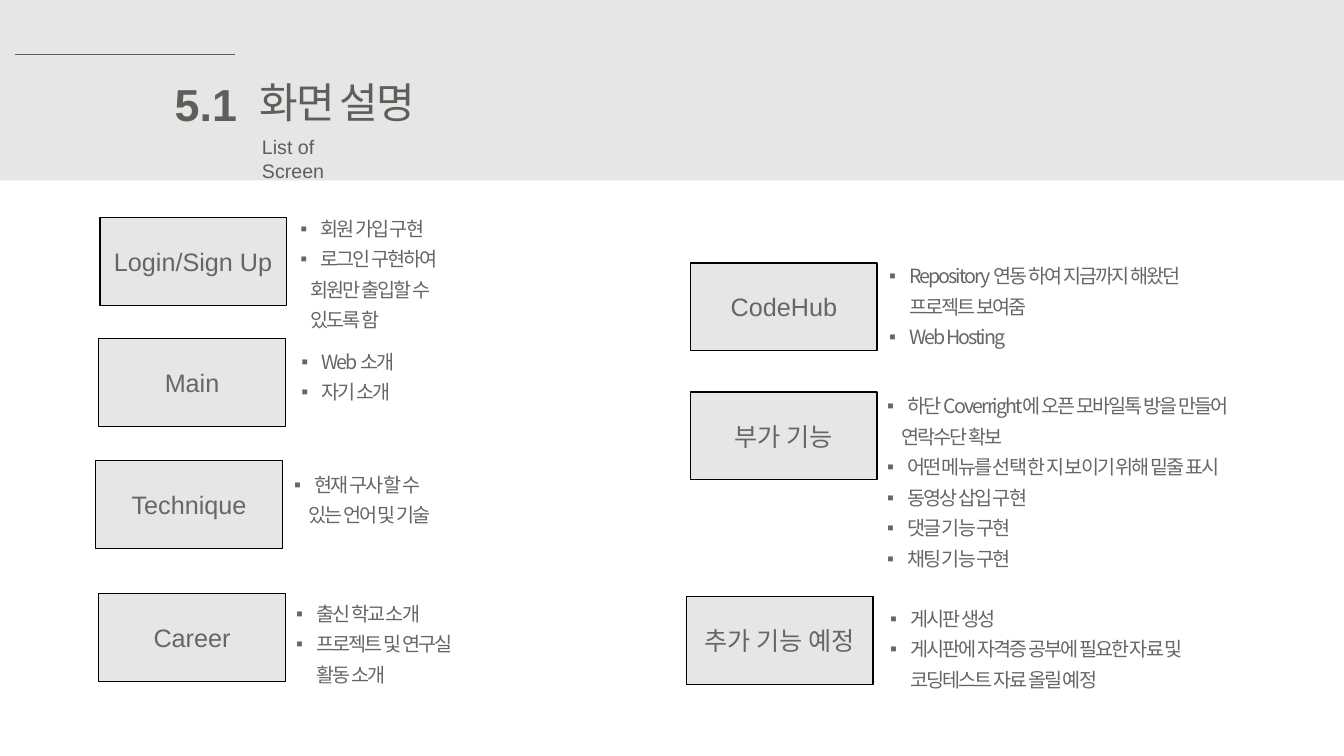
"""Build the screen description slide: a title band and seven labelled feature cards."""
from dataclasses import dataclass

import lxml.etree
import pptx
import pptx.dml.color
import pptx.enum.shapes
import pptx.enum.text
import pptx.oxml.ns
import pptx.util

PX = 9144
CARD_WIDTH, CARD_HEIGHT = 185, 87
BULLET_INDENT = 20


@dataclass(frozen=True)
class Theme:
    latin: str = "Arial"
    korean: str = "Noto Sans CJK KR"
    band: str = "E7E6E6"
    card: str = "E6E6E6"
    border: str = "000000"
    heading: str = "5F5E58"
    body: str = "666666"
    number_size: int = 32
    title_size: int = 30
    label_size: int = 18
    text_size: int = 14
    title_spacing: int = -160
    text_spacing: int = -140


@dataclass(frozen=True)
class Style:
    size: int
    font: str
    color: str
    bold: bool = False
    spacing: int = 0


@dataclass(frozen=True)
class Box:
    left: int
    top: int
    width: int
    height: int

    def emu(self) -> tuple[int, ...]:
        return tuple(n * PX for n in (self.left, self.top, self.width, self.height))


@dataclass(frozen=True)
class Line:
    text: str
    indent: int = 0


@dataclass(frozen=True)
class Heading:
    text: str
    box: Box
    style: Style
    align: pptx.enum.text.PP_ALIGN = pptx.enum.text.PP_ALIGN.LEFT
    wrap: bool = False


@dataclass(frozen=True)
class Card:
    label: str
    left: int
    top: int
    detail_box: Box
    details: tuple[Line, ...]


THEME = Theme()
LABEL = Style(THEME.label_size, THEME.latin, THEME.body)
DETAIL = Style(THEME.text_size, THEME.korean, THEME.body, spacing=THEME.text_spacing)

HEADINGS = (
    Heading("5.1", Box(162, 71, 83, 63),
            Style(THEME.number_size, THEME.latin, THEME.heading, bold=True),
            align=pptx.enum.text.PP_ALIGN.RIGHT),
    Heading("화면 설명", Box(248, 71, 185, 59),
            Style(THEME.title_size, THEME.korean, THEME.heading, spacing=THEME.title_spacing)),
    Heading("List of Screen", Box(250, 129, 132, 32),
            Style(THEME.text_size, THEME.latin, THEME.heading), wrap=True),
)

CARDS = (
    Card("Login/Sign Up", 99, 216, Box(288, 203, 194, 131), (
        Line("회원 가입 구현"), Line("로그인 구현하여"),
        Line("회원만 출입할 수", 10), Line("있도록 함", 10))),
    Card("Main", 98, 336, Box(289, 335, 194, 100), (
        Line("Web 소개"), Line("자기 소개"))),
    Card("Technique", 95, 457, Box(282, 457, 194, 100), (
        Line("현재 구사 할 수"), Line("있는 언어 및 기술", 14))),
    Card("Career", 98, 589, Box(284, 585, 194, 131), (
        Line("출신 학교 소개"), Line("프로젝트 및 연구실 활동 소개"))),
    Card("CodeHub", 685, 261, Box(872, 250, 343, 101), (
        Line("Repository 연동 하여 지금까지 해왔던 프로젝트 보여줌"), Line("Web Hosting"))),
    Card("부가 기능", 685, 389, Box(870, 379, 390, 192), (
        Line("하단 Coverright에 오픈 모바일톡 방을 만들어"), Line("연락수단 확보", 14),
        Line("어떤 메뉴를 선택 한 지 보이기 위해 밑줄 표시"),
        Line("동영상 삽입 구현"), Line("댓글 기능 구현"), Line("채팅 기능 구현"))),
    Card("추가 기능 예정", 681, 592, Box(873, 590, 390, 100), (
        Line("게시판 생성"), Line("게시판에 자격증 공부에 필요한 자료 및 코딩테스트 자료 올릴 예정"))),
)


def rgb(color: str) -> pptx.dml.color.RGBColor:
    return pptx.dml.color.RGBColor.from_string(color)


def add_child(parent, tag: str, **attributes: str) -> None:
    lxml.etree.SubElement(parent, pptx.oxml.ns.qn(tag), attributes)


def add_run(paragraph, text: str, style: Style) -> None:
    run = paragraph.add_run()
    run.text = text
    run.font.size = pptx.util.Pt(style.size)
    run.font.name = style.font
    run.font.bold = style.bold
    run.font.color.rgb = rgb(style.color)
    properties = run._r.get_or_add_rPr()
    if style.spacing:
        properties.set("spc", str(style.spacing))
    add_child(properties, "a:ea", typeface=THEME.korean)


def add_rectangle(slide, box: Box, fill: str, border: str = ""):
    shape = slide.shapes.add_shape(pptx.enum.shapes.MSO_SHAPE.RECTANGLE, *box.emu())
    shape.shadow.inherit = False
    shape.fill.solid()
    shape.fill.fore_color.rgb = rgb(fill)
    if border:
        shape.line.color.rgb = rgb(border)
        shape.line.width = pptx.util.Pt(1)
    else:
        shape.line.fill.background()
    return shape


def add_text_frame(slide, box: Box, wrap: bool):
    frame = slide.shapes.add_textbox(*box.emu()).text_frame
    frame.word_wrap = wrap
    frame.auto_size = pptx.enum.text.MSO_AUTO_SIZE.SHAPE_TO_FIT_TEXT
    return frame


def add_heading(slide, heading: Heading) -> None:
    paragraph = add_text_frame(slide, heading.box, heading.wrap).paragraphs[0]
    paragraph.alignment = heading.align
    add_run(paragraph, heading.text, heading.style)


def add_rule(slide, left: int, right: int, top: int) -> None:
    connector = slide.shapes.add_connector(
        pptx.enum.shapes.MSO_CONNECTOR.STRAIGHT, left * PX, top * PX, right * PX, top * PX)
    connector.line.color.rgb = rgb(THEME.heading)
    connector.line.width = pptx.util.Pt(0.5)
    add_child(connector._element.spPr, "a:effectLst")


def add_details(slide, box: Box, lines: tuple[Line, ...]) -> None:
    frame = add_text_frame(slide, box, wrap=True)
    for index, line in enumerate(lines):
        paragraph = frame.add_paragraph() if index else frame.paragraphs[0]
        paragraph.line_spacing = 1.3
        properties = paragraph._p.get_or_add_pPr()
        properties.set("marL", str((line.indent or BULLET_INDENT) * PX))
        properties.set("indent", str(0 if line.indent else -BULLET_INDENT * PX))
        if line.indent:
            add_child(properties, "a:buNone")
        else:
            add_child(properties, "a:buFont", typeface=THEME.latin)
            add_child(properties, "a:buChar", char="▪")
        add_run(paragraph, line.text, DETAIL)


def add_card(slide, card: Card) -> None:
    box = Box(card.left, card.top, CARD_WIDTH, CARD_HEIGHT)
    frame = add_rectangle(slide, box, THEME.card, THEME.border).text_frame
    frame.word_wrap = True
    frame.vertical_anchor = pptx.enum.text.MSO_ANCHOR.MIDDLE
    paragraph = frame.paragraphs[0]
    paragraph.alignment = pptx.enum.text.PP_ALIGN.CENTER
    add_run(paragraph, card.label, LABEL)
    add_details(slide, card.detail_box, card.details)


def main() -> None:
    presentation = pptx.Presentation()
    presentation.slide_width, presentation.slide_height = 1333 * PX, 750 * PX
    slide = presentation.slides.add_slide(presentation.slide_layouts[6])
    add_rectangle(slide, Box(0, 0, 1333, 179), THEME.band)
    add_rule(slide, 15, 233, 54)
    for heading in HEADINGS:
        add_heading(slide, heading)
    for card in CARDS:
        add_card(slide, card)
    presentation.save("out.pptx")


if __name__ == "__main__":
    main()
